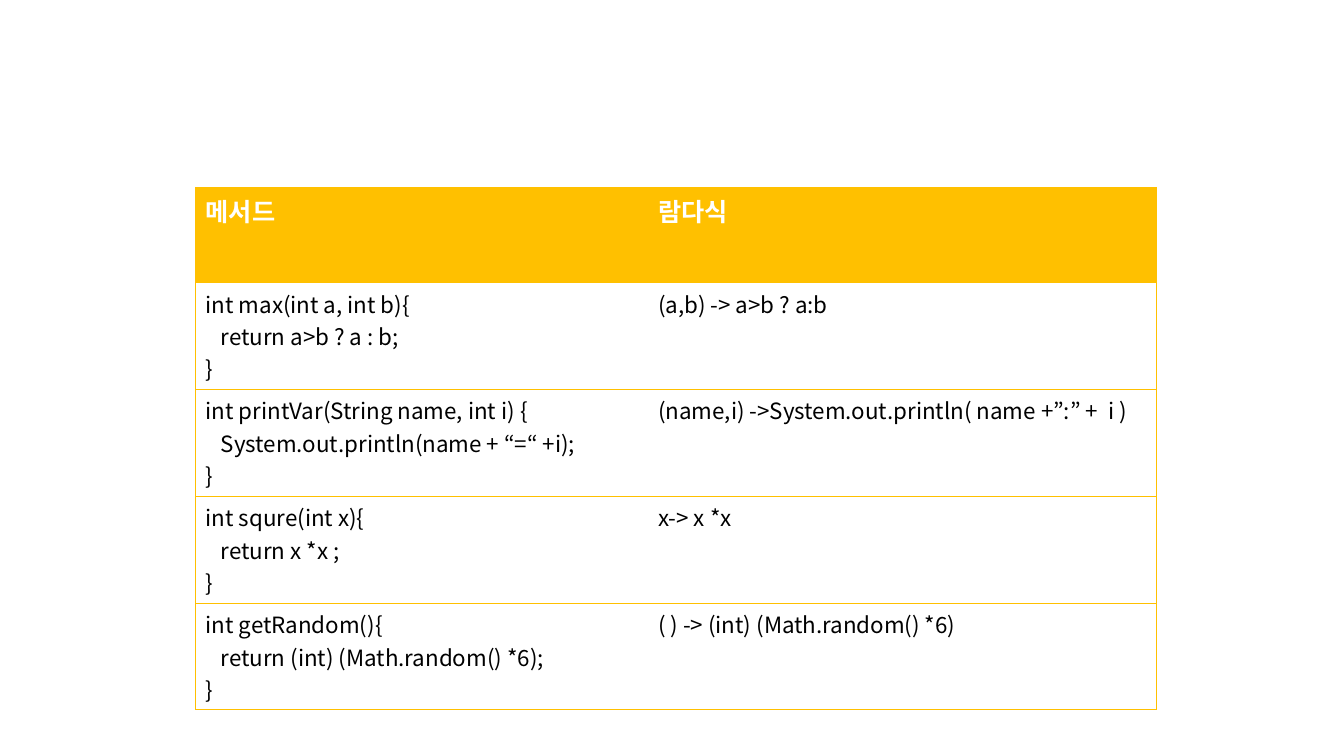
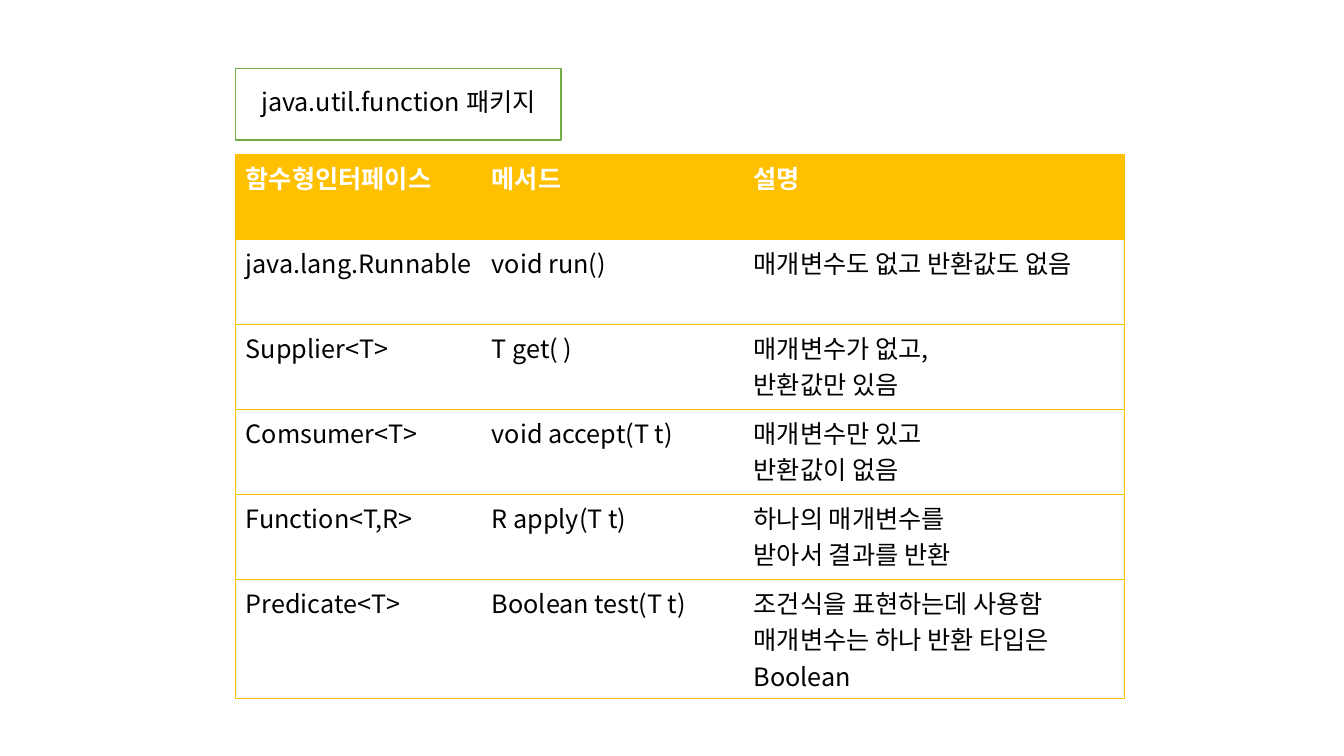
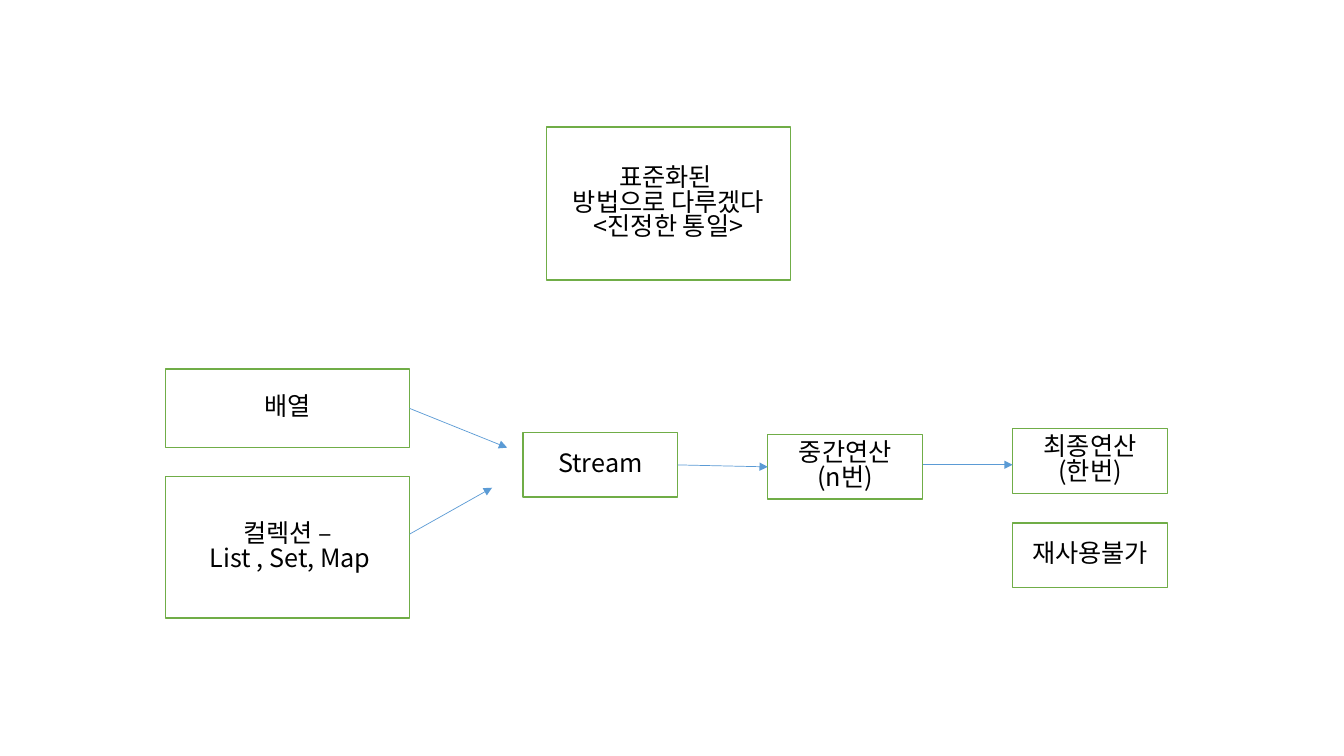
from dataclasses import dataclass

from lxml import etree
from pptx import Presentation
from pptx.dml.color import RGBColor
from pptx.enum.shapes import MSO_CONNECTOR, MSO_SHAPE
from pptx.enum.text import MSO_ANCHOR, PP_ALIGN
from pptx.oxml.ns import qn
from pptx.util import Cm, Pt

RECTANGLE = MSO_SHAPE.RECTANGLE
STRAIGHT = MSO_CONNECTOR.STRAIGHT
MIDDLE = MSO_ANCHOR.MIDDLE
LEFT, CENTER = PP_ALIGN.LEFT, PP_ALIGN.CENTER
LEFT_SIDE, RIGHT_SIDE = 1, 3


@dataclass(frozen=True)
class Theme:
    font: str = "Noto Sans CJK KR"
    text: str = "000000"
    paper: str = "FFFFFF"
    header: str = "FFC000"
    box_line: str = "70AD47"
    arrow: str = "5B9BD5"
    size: int = 18
    code_size: int = 16
    thin: float = 0.5
    box_weight: float = 1
    box_spacing: float = 0.82
    code_indent: float = 0.38


THEME = Theme()

LAMBDA_ROWS = [
    ("메서드", "람다식"),
    ("int max(int a, int b){\n\treturn a>b ? a : b;\n}", "(a,b) -> a>b ? a:b"),
    ("int printVar(String name, int i) {\n\tSystem.out.println(name + “=“ +i);\n}",
     "(name,i) ->System.out.println( name +”:” +  i )"),
    ("int squre(int x){\n\treturn x *x ;\n}", "x-> x *x"),
    ("int getRandom(){\n\treturn (int) (Math.random() *6);\n}",
     "( ) -> (int) (Math.random() *6)"),
]

INTERFACE_ROWS = [
    ("함수형인터페이스", "메서드", "설명"),
    ("java.lang.Runnable", "void run()", "매개변수도 없고 반환값도 없음"),
    ("Supplier<T>", "T get( )", "매개변수가 없고,\n반환값만 있음"),
    ("Comsumer<T>", "void accept(T t)", "매개변수만 있고\n반환값이 없음"),
    ("Function<T,R>", "R apply(T t)", "하나의 매개변수를\n받아서 결과를 반환"),
    ("Predicate<T>", "Boolean test(T t)",
     "조건식을 표현하는데 사용함\n매개변수는 하나 반환 타입은 Boolean"),
]


def rgb(value):
    return RGBColor.from_string(value)


def write_text(frame, text, *, size=THEME.size, color=THEME.text, bold=False,
               align=LEFT, spacing=None):
    """Write one paragraph per line; a leading tab indents the paragraph."""
    frame.word_wrap = True
    for number, line in enumerate(text.split("\n")):
        paragraph = frame.add_paragraph() if number else frame.paragraphs[0]
        paragraph.alignment = align
        if spacing:
            paragraph.line_spacing = spacing
        if line.startswith("\t"):
            paragraph._p.get_or_add_pPr().set("marL", str(Cm(THEME.code_indent)))
        run = paragraph.add_run()
        run.text = line.lstrip("\t")
        run.font.name = THEME.font
        run.font.size = Pt(size)
        run.font.bold = bold
        run.font.color.rgb = rgb(color)
        east_asian = etree.SubElement(run._r.get_or_add_rPr(), qn("a:ea"))
        east_asian.set("typeface", THEME.font)


def set_borders(cell, visible_sides):
    properties = cell._tc.get_or_add_tcPr()
    for side in "LRTB":
        border = etree.SubElement(properties, qn(f"a:ln{side}"))
        if side in visible_sides:
            border.set("w", str(Pt(THEME.thin)))
            fill = etree.SubElement(border, qn("a:solidFill"))
            etree.SubElement(fill, qn("a:srgbClr")).set("val", THEME.header)
        else:
            etree.SubElement(border, qn("a:noFill"))


def add_grid(slide, left, top, rows, widths, header_height, row_height,
             body_size=THEME.size):
    """Add a table with a filled header, row rules and an outer frame."""
    heights = [header_height] + [row_height] * (len(rows) - 1)
    table = slide.shapes.add_table(
        len(rows), len(widths), Cm(left), Cm(top),
        Cm(sum(widths)), Cm(sum(heights))).table
    table.horz_banding = False
    for column, width in zip(table.columns, widths):
        column.width = Cm(width)
    for r, (texts, height) in enumerate(zip(rows, heights)):
        table.rows[r].height = Cm(height)
        is_header = r == 0
        for c, text in enumerate(texts):
            cell = table.cell(r, c)
            sides = "TB" + "L" * (c == 0) + "R" * (c == len(widths) - 1)
            set_borders(cell, sides)
            cell.fill.solid()
            cell.fill.fore_color.rgb = rgb(THEME.header if is_header else THEME.paper)
            write_text(cell.text_frame, text, bold=is_header,
                       size=THEME.size if is_header else body_size,
                       color=THEME.paper if is_header else THEME.text)


def add_box(slide, left, top, width, height, text):
    box = slide.shapes.add_shape(RECTANGLE, Cm(left), Cm(top), Cm(width), Cm(height))
    box.shadow.inherit = False
    box.fill.solid()
    box.fill.fore_color.rgb = rgb(THEME.paper)
    box.line.color.rgb = rgb(THEME.box_line)
    box.line.width = Pt(THEME.box_weight)
    box.text_frame.vertical_anchor = MIDDLE
    write_text(box.text_frame, text, align=CENTER, spacing=THEME.box_spacing)
    return box


def add_arrow(slide, start=(0, 0), end=(0, 0), source=None, target=None):
    """Draw from start to end; a source or target box replaces that point."""
    arrow = slide.shapes.add_connector(STRAIGHT, *map(Cm, start + end))
    if source is not None:
        arrow.begin_connect(source, RIGHT_SIDE)
    if target is not None:
        arrow.end_connect(target, LEFT_SIDE)
    arrow.line.color.rgb = rgb(THEME.arrow)
    arrow.line.width = Pt(THEME.thin)
    etree.SubElement(arrow.line._get_or_add_ln(), qn("a:tailEnd")).set("type", "triangle")
    etree.SubElement(arrow._element.spPr, qn("a:effectLst"))


def build_lambda_slide(slide):
    add_grid(slide, 4.93, 4.72, LAMBDA_ROWS, (11.4, 12.8), 2.39, 2.62,
             body_size=THEME.code_size)


def build_interface_slide(slide):
    left = 5.94
    add_grid(slide, left, 3.89, INTERFACE_ROWS, (6.2, 6.6, 9.6), 2.14, 2.14)
    add_box(slide, left, 1.73, 8.2, 1.8, "java.util.function 패키지")


def build_stream_slide(slide):
    source_left, source_width = 4.17, 6.15
    step_left, step_gap, step_size = 13.18, 6.17, (3.9, 1.63)
    middle_left, final_left = step_left + step_gap, step_left + 2 * step_gap

    array = add_box(slide, source_left, 9.3, source_width, 1.98, "배열")
    add_box(slide, source_left, 12.01, source_width, 3.56, "컬렉션 –\n List , Set, Map")
    add_box(slide, 13.77, 3.2, source_width, 3.86,
            "표준화된 \n방법으로 다루겠다\n<진정한 통일>")
    stream = add_box(slide, step_left, 10.9, *step_size, "Stream")
    middle = add_box(slide, middle_left, 10.95, *step_size, "중간연산\n(n번)")
    add_box(slide, final_left, 10.8, *step_size, "최종연산\n(한번)")
    add_box(slide, final_left, 13.18, *step_size, "재사용불가")

    add_arrow(slide, end=(12.78, 11.28), source=array)
    add_arrow(slide, start=(10.32, 13.46), end=(12.4, 12.29))
    add_arrow(slide, source=stream, target=middle)
    add_arrow(slide, start=(middle_left + step_size[0], 11.71), end=(final_left, 11.71))


def main():
    deck = Presentation()
    deck.slide_width, deck.slide_height = Cm(33.87), Cm(19.05)
    blank = deck.slide_layouts[6]
    for build in (build_lambda_slide, build_interface_slide, build_stream_slide):
        build(deck.slides.add_slide(blank))
    deck.save("out.pptx")


if __name__ == "__main__":
    main()
